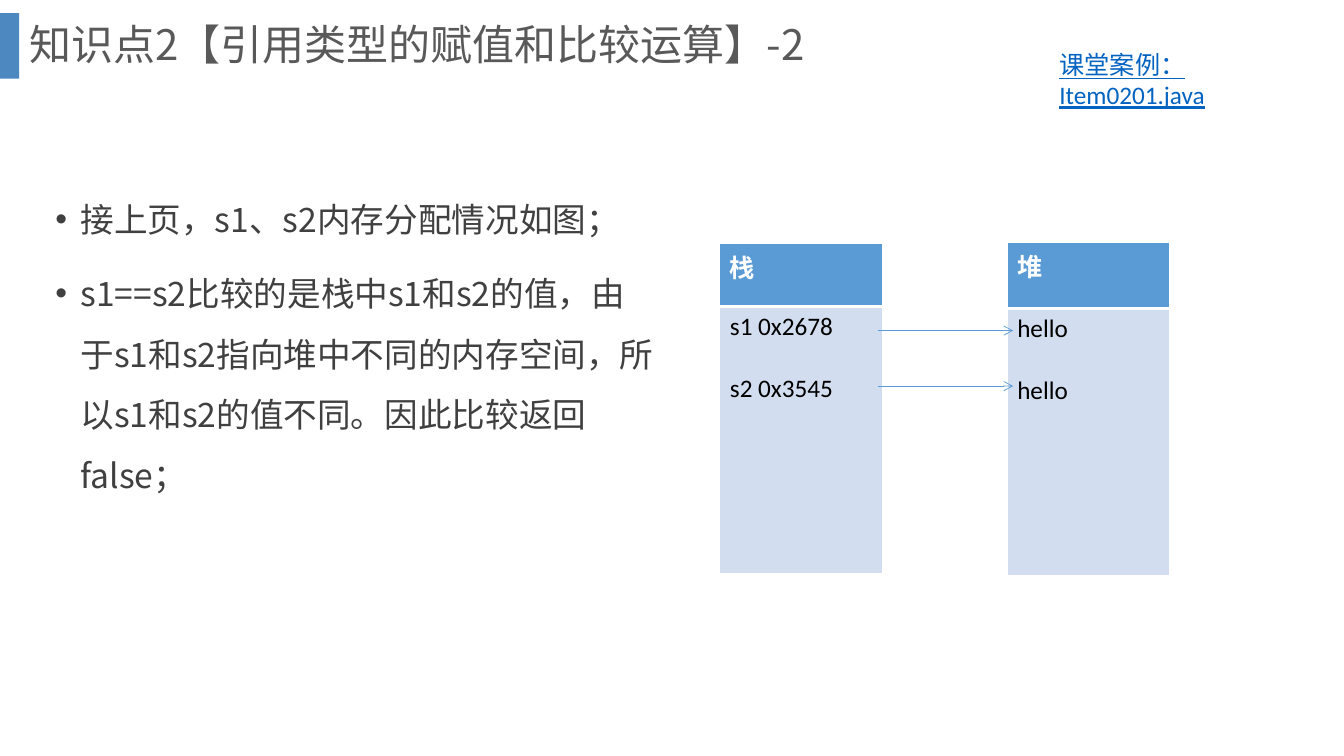
from lxml import etree
from pptx import Presentation
from pptx.dml.color import RGBColor
from pptx.enum.shapes import MSO_CONNECTOR, MSO_SHAPE
from pptx.enum.text import MSO_ANCHOR, MSO_AUTO_SIZE
from pptx.oxml.ns import qn
from pptx.util import Inches, Pt

MIDDLE = MSO_ANCHOR.MIDDLE
TOP = MSO_ANCHOR.TOP
FIT_SHAPE = MSO_AUTO_SIZE.SHAPE_TO_FIT_TEXT
RECTANGLE = MSO_SHAPE.RECTANGLE
STRAIGHT = MSO_CONNECTOR.STRAIGHT

SLIDE_WIDTH, SLIDE_HEIGHT = Inches(13.33), Inches(7.5)
CHINESE_FONT, LATIN_FONT = "Noto Sans CJK SC", "Calibri"
COLORS = {
    "bar": "2E75B6", "title": "595959", "body": "404040", "link": "0563C1",
    "header": "5B9BD5", "cell": "D2DEEF", "white": "FFFFFF", "black": "000000",
}

BULLETS = [
    "接上页，s1、s2内存分配情况如图；",
    "s1==s2比较的是栈中s1和s2的值，由于s1和s2指向堆中不同的内存空间，"
    "所以s1和s2的值不同。因此比较返回false；",
]
# Header, entries, left, top and header height, in percent of the slide
MEMORY_AREAS = [
    ("栈", ["s1 0x2678", "s2 0x3545"], 53.56, 32.13, 8.4),
    ("堆", ["hello", "hello"], 74.94, 32, 8.8),
]
AREA_WIDTH, CONTENT_HEIGHT = 12.08, 35.33
ARROW_LEFT, ARROW_RIGHT = 65.34, 75.39
ARROW_ROWS = [43.73, 51.07]


def across(percent):
    return round(SLIDE_WIDTH * percent / 100)


def down(percent):
    return round(SLIDE_HEIGHT * percent / 100)


def box(left, top, width, height):
    """Turn percentages of the slide into a position and a size."""
    return across(left), down(top), across(width), down(height)


def color(name):
    return RGBColor.from_string(COLORS[name])


def add_run(paragraph, text, size, font_name, color_name, bold=False, underline=False):
    run = paragraph.add_run()
    run.text = text
    font = run.font
    font.size, font.name, font.bold = Pt(size), font_name, bold
    font.underline = underline
    font.color.rgb = color(color_name)
    east_asian = etree.Element(qn("a:ea"), typeface=CHINESE_FONT)
    font._element.find(qn("a:latin")).addnext(east_asian)


def add_text_frame(slide, area, anchor=TOP):
    frame = slide.shapes.add_textbox(*box(*area)).text_frame
    frame.word_wrap = True
    frame.vertical_anchor = anchor
    return frame


def add_accent_bar(slide):
    bar = slide.shapes.add_shape(RECTANGLE, *box(0, 1.73, 1.43, 8.67))
    bar.shadow.inherit = False
    bar.fill.solid()
    bar.fill.fore_color.rgb = color("bar")
    bar.line.fill.background()
    fill_color = bar._element.spPr.find(qn("a:solidFill"))[0]
    etree.SubElement(fill_color, qn("a:alpha"), val="85000")


def add_title(slide, text):
    frame = add_text_frame(slide, (1.43, 0, 94.97, 12.4), MIDDLE)
    paragraph = frame.paragraphs[0]
    paragraph.line_spacing = 0.9
    add_run(paragraph, text, 30, CHINESE_FONT, "title")


def add_bullets(slide, texts):
    frame = add_text_frame(slide, (3.38, 22.93, 45.99, 50.67))
    for index, text in enumerate(texts):
        paragraph = frame.add_paragraph() if index else frame.paragraphs[0]
        properties = paragraph._p.get_or_add_pPr()
        properties.set("marL", str(Inches(0.25)))
        properties.set("indent", str(-Inches(0.25)))
        etree.SubElement(properties, qn("a:buFont"), typeface="Arial")
        etree.SubElement(properties, qn("a:buChar"), char="•")
        paragraph.line_spacing = 1.5
        if index:
            paragraph.space_before = Pt(10)
        add_run(paragraph, text, 24, CHINESE_FONT, "body")


def add_case_label(slide, text):
    frame = add_text_frame(slide, (78.09, 5.87, 17.1, 9.47))
    frame.auto_size = FIT_SHAPE
    add_run(frame.paragraphs[0], text, 18, LATIN_FONT, "link", underline=True)


def style_cell(cell, fill_name, bottom_width):
    cell.fill.solid()
    cell.fill.fore_color.rgb = color(fill_name)
    properties = cell._tc.get_or_add_tcPr()
    widths = {"a:lnL": 1, "a:lnR": 1, "a:lnT": 1, "a:lnB": bottom_width}
    for position, (side, width) in enumerate(widths.items()):
        border = etree.Element(qn(side), w=str(Pt(width)))
        fill = etree.SubElement(border, qn("a:solidFill"))
        etree.SubElement(fill, qn("a:srgbClr"), val=COLORS["white"])
        properties.insert(position, border)


def add_memory_area(slide, header, entries, left, top, header_height):
    area = box(left, top, AREA_WIDTH, header_height + CONTENT_HEIGHT)
    table = slide.shapes.add_table(2, 1, *area).table
    table.rows[0].height = down(header_height)
    table.rows[1].height = down(CONTENT_HEIGHT)
    header_cell, content_cell = table.cell(0, 0), table.cell(1, 0)
    style_cell(header_cell, "header", 3)
    style_cell(content_cell, "cell", 1)
    add_run(header_cell.text_frame.paragraphs[0], header, 18, LATIN_FONT, "white", bold=True)
    frame = content_cell.text_frame
    for index, entry in enumerate(entries):
        paragraph = frame.add_paragraph() if index else frame.paragraphs[0]
        if index:
            paragraph.space_before = Pt(22)
        add_run(paragraph, entry, 18, LATIN_FONT, "black")


def add_arrow(slide, row):
    arrow = slide.shapes.add_connector(
        STRAIGHT, across(ARROW_LEFT), down(row), across(ARROW_RIGHT), down(row))
    arrow.line.color.rgb = color("header")
    arrow.line.width = Pt(0.5)
    etree.SubElement(arrow.line._get_or_add_ln(), qn("a:tailEnd"), type="arrow")
    etree.SubElement(arrow._element.spPr, qn("a:effectLst"))


def main():
    presentation = Presentation()
    presentation.slide_width, presentation.slide_height = SLIDE_WIDTH, SLIDE_HEIGHT
    slide = presentation.slides.add_slide(presentation.slide_layouts[6])
    add_accent_bar(slide)
    add_bullets(slide, BULLETS)
    add_title(slide, "知识点2【引用类型的赋值和比较运算】-2")
    add_case_label(slide, "课堂案例：Item0201.java")
    for memory_area in MEMORY_AREAS:
        add_memory_area(slide, *memory_area)
    for row in ARROW_ROWS:
        add_arrow(slide, row)
    presentation.save("out.pptx")


if __name__ == "__main__":
    main()
